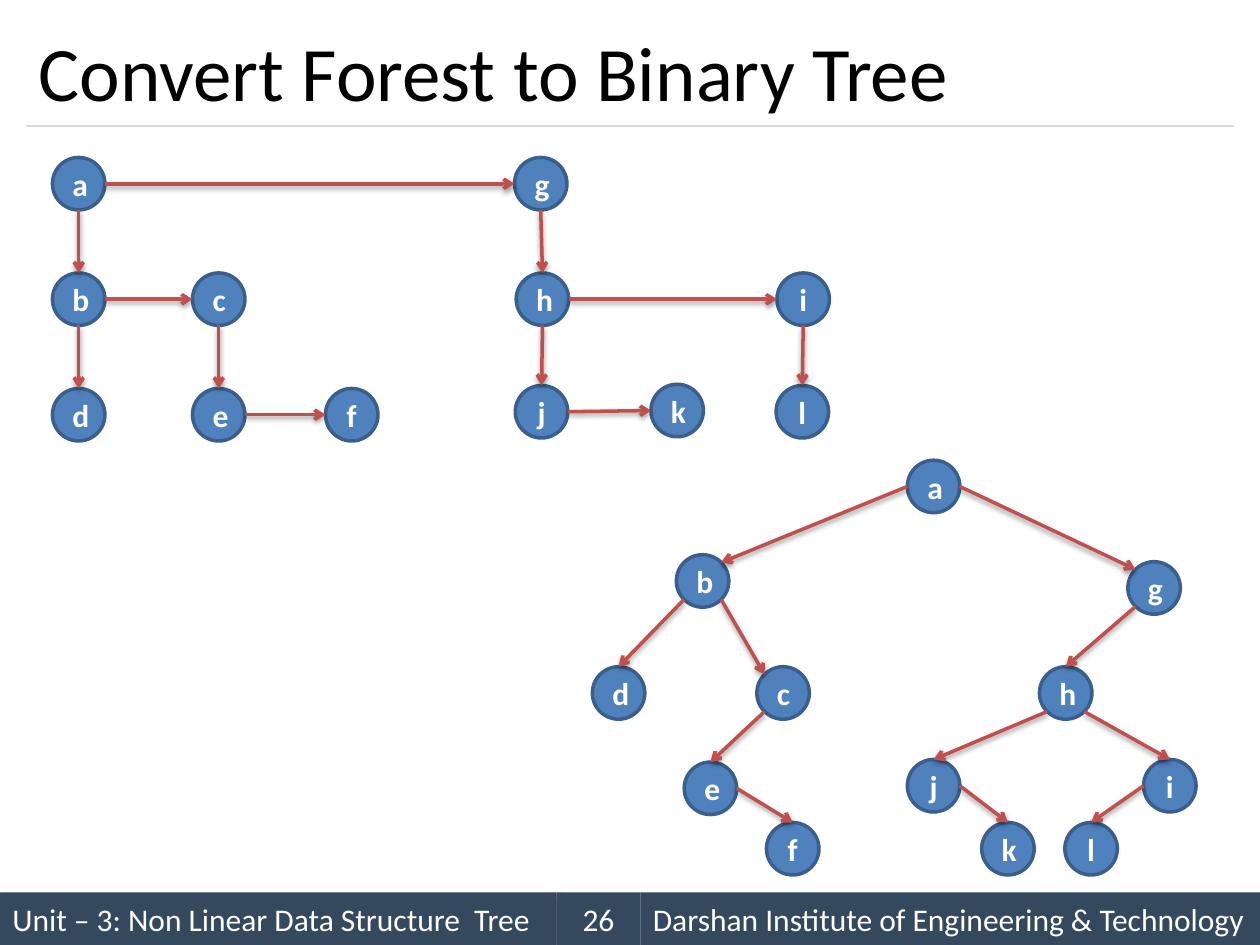
from math import cos, sin, radians
from lxml.etree import SubElement as Sub
from pptx import Presentation as Deck
from pptx.dml.color import RGBColor as Rgb
from pptx.enum.shapes import MSO_CONNECTOR as Link, MSO_SHAPE as Kind
from pptx.enum.text import MSO_ANCHOR as Anchor, PP_ALIGN as Align
from pptx.oxml.ns import qn
from pptx.util import Pt

SIZE = 30
SITES = {"e": 0, "se": 45, "s": 90, "sw": 135, "w": 180, "nw": 225, "n": 270, "ne": 315}

FOREST = {
    "a": (30, 90), "b": (30, 156), "c": (110, 156),
    "d": (30, 222), "e": (110, 222), "f": (186, 222),
    "g": (294, 90), "h": (295, 156), "i": (444, 156),
    "j": (294.5, 220.3), "k": (372, 219.6), "l": (443.5, 220.3),
}
FOREST_ARCS = [
    "a e g w", "a s b n", "b e c w", "b s d n", "c s e n", "e e f w",
    "g s h n", "h e i w", "h s j n", "j e k w", "i s l n",
]
TREE = {
    "a": (518.5, 263), "b": (386.5, 317), "c": (432.5, 381),
    "d": (338.5, 381), "e": (391, 435.5), "f": (438, 470),
    "g": (644.5, 321), "h": (594, 381), "i": (653.5, 434),
    "j": (518.5, 434), "k": (561, 470), "l": (608.5, 470),
}
TREE_ARCS = [
    "a w b ne", "a e g nw", "b sw d n", "b se c nw", "c sw e n", "e e f n",
    "g sw h n", "h sw j n", "h se i n", "j e k n", "i w l n",
]


def tint(code):
    return Rgb.from_string(code)


def put(item, **vals):
    for name, val in vals.items():
        setattr(item, name, val)


def paint(fill, code):
    fill.solid()
    fill.fore_color.rgb = tint(code)


def shade(shape, blur=0, dist=0, turn=0, alpha=0):
    props = shape._element.spPr
    for old in props.findall(qn("a:effectLst")):
        props.remove(old)
    list_el = Sub(props, qn("a:effectLst"))
    if alpha:
        cast = Sub(list_el, qn("a:outerShdw"), blurRad=str(Pt(blur)), dist=str(Pt(dist)),
                   dir=str(turn * 60000), algn="ctr", rotWithShape="0")
        color = Sub(cast, qn("a:srgbClr"), val="000000")
        Sub(color, qn("a:alpha"), val=str(alpha * 1000))


def write(shape, text, size, code, align, bold=False):
    frame = shape.text_frame
    put(frame, word_wrap=True, vertical_anchor=Anchor.MIDDLE)
    para = frame.paragraphs[0]
    put(para, text=text, alignment=align)
    put(para.font, name="Calibri", size=Pt(size), bold=bold)
    para.font.color.rgb = tint(code)


def add_line(shapes, start, end, code, width):
    line = shapes.add_connector(Link.STRAIGHT, *map(Pt, start + end))
    line.line.width = Pt(width)
    line.line.color.rgb = tint(code)
    return line


def add_bar(shapes, left, width, text, align, cast):
    bar = shapes.add_shape(Kind.RECTANGLE, Pt(left), Pt(510), Pt(width), Pt(30))
    paint(bar.fill, "34495E")
    bar.line.fill.background()
    shade(bar, **cast)
    write(bar, text, 18, "FFFFFF", align)


def add_node(shapes, label, spot):
    node = shapes.add_shape(Kind.OVAL, *map(Pt, spot), Pt(SIZE), Pt(SIZE))
    node.shadow.inherit = False
    paint(node.fill, "4F81BD")
    node.line.color.rgb = tint("3A5F8C")
    node.line.width = Pt(2)
    write(node, label, 18, "FFFFFF", Align.CENTER, True)


def find_site(spot, side):
    half, turn = SIZE / 2, radians(SITES[side])
    return spot[0] + half + half * cos(turn), spot[1] + half + half * sin(turn)


def add_arc(shapes, start, end):
    arc = add_line(shapes, start, end, "C0504D", 2)
    Sub(arc.line._get_or_add_ln(), qn("a:tailEnd"), type="arrow")
    shade(arc, blur=3.1, dist=1.6, turn=90, alpha=38)


def add_graph(shapes, nodes, arcs):
    for label, spot in nodes.items():
        add_node(shapes, label, spot)
    for arc in arcs:
        head, out, tail, into = arc.split()
        add_arc(shapes, find_site(nodes[head], out), find_site(nodes[tail], into))


def main():
    deck = Deck()
    put(deck, slide_width=Pt(720), slide_height=Pt(540))
    slide = deck.slides.add_slide(deck.slide_layouts[6])
    shapes = slide.shapes

    cast = dict(blur=4, dist=3, turn=45, alpha=40)
    add_bar(shapes, 0, 318, "Unit – 3: Non Linear Data Structure  Tree", Align.LEFT, cast)
    add_bar(shapes, 366, 354, "Darshan Institute of Engineering & Technology", Align.LEFT, cast)
    add_bar(shapes, 318, 48, "26", Align.CENTER, {})
    shade(add_line(shapes, (15, 72), (705, 72), "D9D9D9", 0.75))

    title = shapes.add_textbox(Pt(15), Pt(8.5), Pt(690), Pt(63.5))
    write(title, "Convert Forest to Binary Tree", 44, "000000", Align.LEFT)

    add_graph(shapes.add_group_shape().shapes, TREE, TREE_ARCS)
    add_graph(shapes, FOREST, FOREST_ARCS)
    deck.save("out.pptx")


if __name__ == "__main__":
    main()
